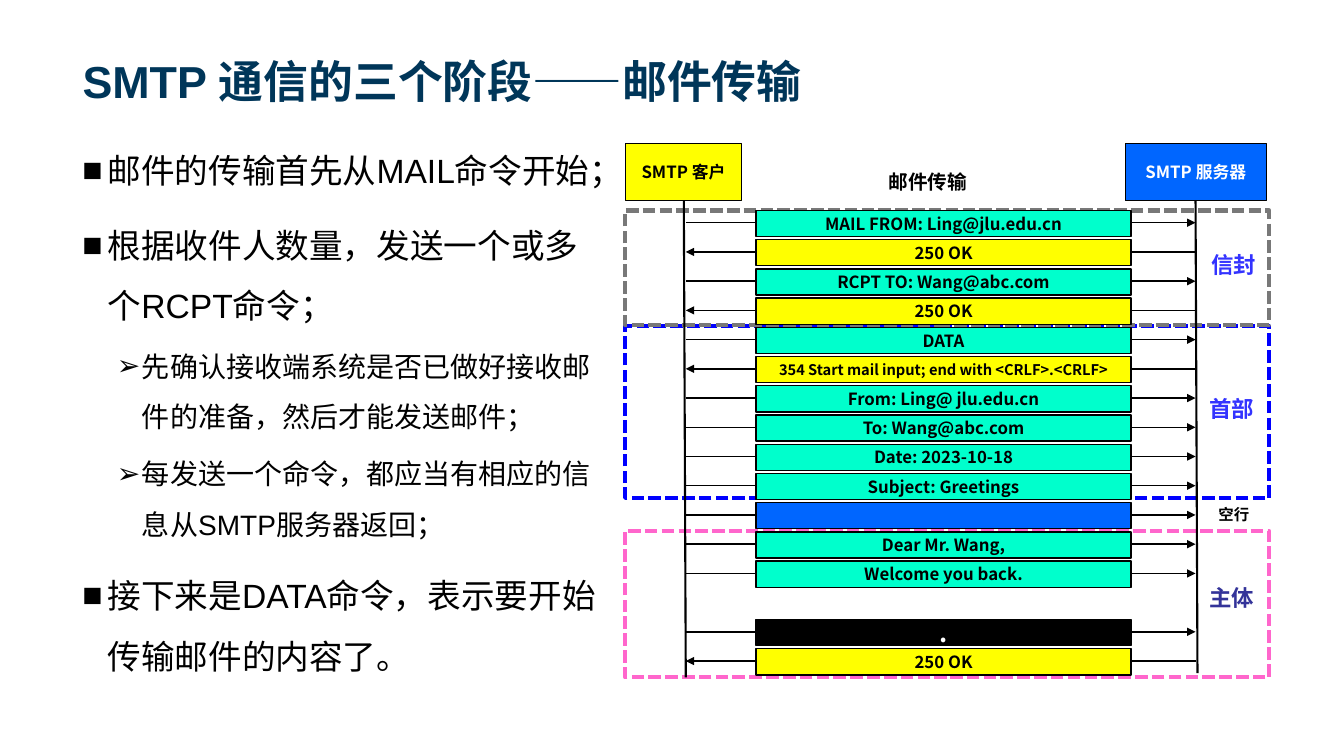
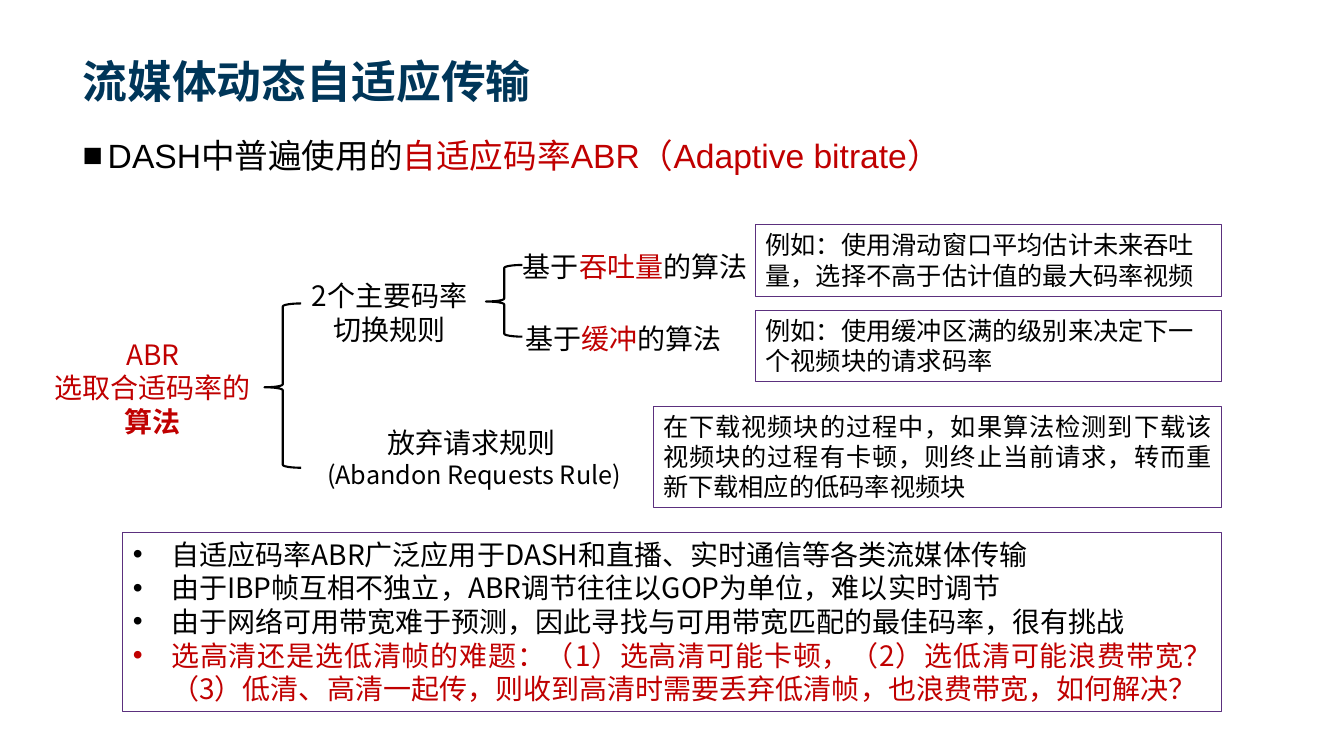
from lxml.etree import SubElement
from pptx import Presentation
from pptx.dml.color import RGBColor
from pptx.enum.dml import MSO_LINE as Dash
from pptx.enum.lang import MSO_LANGUAGE_ID as Lang
from pptx.enum.shapes import MSO_CONNECTOR as Link, MSO_SHAPE as Kind
from pptx.enum.text import MSO_ANCHOR as Anchor, PP_ALIGN as Align
from pptx.oxml.ns import qn
from pptx.util import Inches, Pt

SANS, CJK = "Arial", "Noto Sans CJK SC"
BLACK, WHITE, NAVY, RED = "000000", "FFFFFF", "003659", "C00000"
YELLOW, BLUE, MINT, PURPLE = "FFFF00", "0066FF", "00FFCC", "5B307E"
INDIGO, PLUM = "3333FF", "333399"

# Boxes are left, top, width, height in inches
TITLE = (0.72, 0.14, 11.88, 0.98)
HALF = (0.72, 1.24, 5.44, 5.47)
FULL = (0.72, 1.24, 11.88, 5.47)
FLOW = (6.2, 1.42, 6.4, 5.3)
TREE = (0.44, 2.23, 11.68, 2.81)
SUMMARY = (1.22, 5.28, 10.9, 1.78)


def tint(code):
    return RGBColor.from_string(code)


def part(box, x, y, w=0, h=0):
    """Turn percentages of a box into a box in inches."""
    left, top, width, high = box
    return (left + width * x / 100, top + high * y / 100,
            width * w / 100, high * h / 100)


def say(frame, *runs, size=20, color=BLACK, bold=False, face=CJK,
        align=Align.LEFT, gap=0, lead=None, mark=None, left=0, dent=0):
    """Add one paragraph; a run is a string or (string, colour, bold, size)."""
    para = frame.paragraphs[0]
    first = not para.runs
    if not first:
        para = frame.add_paragraph()
    if mark:
        props = para._p.get_or_add_pPr()
        props.set("marL", str(Inches(left)))
        props.set("indent", str(-Inches(dent)))
        SubElement(props, qn("a:buFont")).set("typeface", SANS)
        SubElement(props, qn("a:buChar")).set("char", mark)
    para.alignment = align
    if lead:
        para.line_spacing = lead
    if gap and not first:
        para.space_before = Pt(gap)
    base = (None, color, bold, size)
    for item in runs:
        item = (item,) if isinstance(item, str) else item
        words, hue, heavy, points = item + base[len(item):]
        for i, line in enumerate(words.split("\n")):
            if i:
                para.add_line_break()
            if not line:
                continue
            run = para.add_run()
            run.text = line
            font = run.font
            font.name, font.size, font.bold = face, Pt(points), heavy
            font.color.rgb = tint(hue)
            font.language_id = Lang.SIMPLIFIED_CHINESE
            SubElement(run._r.rPr, qn("a:ea")).set("typeface", CJK)


def area(slide, box, anchor=Anchor.TOP, wrap=True):
    frame = slide.shapes.add_textbox(*map(Inches, box)).text_frame
    frame.word_wrap, frame.vertical_anchor = wrap, anchor
    return frame


def block(slide, box, fill=None, line=None, width=1, dash=None,
          kind=Kind.RECTANGLE, anchor=Anchor.MIDDLE):
    shape = slide.shapes.add_shape(kind, *map(Inches, box))
    shape.shadow.inherit = False
    if fill:
        shape.fill.solid()
        shape.fill.fore_color.rgb = tint(fill)
    else:
        shape.fill.background()
    if line:
        shape.line.color.rgb = tint(line)
        shape.line.width = Pt(width)
        if dash:
            shape.line.dash_style = dash
    else:
        shape.line.fill.background()
    shape.text_frame.word_wrap = True
    shape.text_frame.vertical_anchor = anchor
    return shape


def wire(slide, start, end, width=1, arrow=False):
    ends = map(Inches, start[:2] + end[:2])
    link = slide.shapes.add_connector(Link.STRAIGHT, *ends)
    link.line.color.rgb = tint(BLACK)
    link.line.width = Pt(width)
    if arrow:
        SubElement(link.line._get_or_add_ln(), qn("a:tailEnd")).set("type", "triangle")
    SubElement(link._element.spPr, qn("a:effectLst"))


def head(slide, words, face=SANS):
    say(area(slide, TITLE, Anchor.BOTTOM), words, size=32, color=NAVY,
        bold=True, face=face)


def bullet(frame, *runs, deep=False, lead=1.5):
    form = (dict(size=20, gap=5, mark="➢", left=0.59) if deep
            else dict(size=24, gap=10, mark="■", left=0.25))
    say(frame, *runs, face=SANS, lead=lead, dent=0.25, **form)


def flow(slide, box):
    """Draw the message exchange between the client and the server."""
    bands = [(72.6, 27.4, "FF66CC"), (34.3, 32.1, "0000FF"), (12.6, 21.5, "787878")]
    for y, h, color in bands:
        block(slide, part(box, 0, y, 99.8, h), line=color, width=3,
              dash=Dash.SQUARE_DOT)
    hosts = [("SMTP 服务器", 77.5, 21.9, BLUE, WHITE, 88.4, 99.2),
             ("SMTP 客户", 0, 18.1, YELLOW, BLACK, 9.1, 100)]
    for name, x, w, fill, color, life, foot in hosts:
        host = block(slide, part(box, x, 0, w, 10.8), fill, BLACK, 0.5)
        say(host.text_frame, name, size=12, color=color, bold=True, align=Align.CENTER)
        wire(slide, part(box, life, 10.8), part(box, life + 0.3, foot), 1.5)

    sent, reply = (MINT, BLACK, 12), (YELLOW, BLACK, 12)
    steps = [("MAIL FROM: Ling@jlu.edu.cn", sent), ("250 OK", reply),
             ("RCPT TO: Wang@abc.com", sent), ("250 OK", reply), ("DATA", sent),
             ("354 Start mail input; end with <CRLF>.<CRLF>", (YELLOW, BLACK, 10.5)),
             ("From: Ling@ jlu.edu.cn", sent), ("To: Wang@abc.com", sent),
             ("Date: 2023-10-18", sent), ("Subject: Greetings", sent),
             ("", (BLUE, BLACK, 12)), ("Dear Mr. Wang,", sent),
             ("Welcome you back.", sent), None,
             (".", (BLACK, WHITE, 18)), ("250 OK", reply)]
    for row, step in enumerate(steps):
        if not step:
            continue
        words, (fill, color, size) = step
        y = 12.6 + 5.47 * row
        ends = [part(box, x, y + 2.3) for x in (9.4, 88.4)]
        if fill == YELLOW:
            ends.reverse()
        wire(slide, *ends, arrow=True)
        bar = block(slide, part(box, 20.3, y, 58.1, 4.9), fill, BLACK)
        say(bar.text_frame, words, size=size, color=color, bold=True,
            align=Align.CENTER)

    labels = [("信封", 88.75, 19.2, 11.2, 16, INDIGO),
              ("首部", 88.75, 46.2, 10.6, 16, INDIGO),
              ("主体", 88.75, 81.7, 10.6, 16, PLUM),
              ("空行", 88.75, 66.8, 11.2, 11, BLACK),
              ("邮件传输", 37.7, 4, 18.4, 14, BLACK)]
    for words, x, y, w, size, color in labels:
        say(area(slide, part(box, x, y, w, 6.4)), words, size=size,
            color=color, bold=True, align=Align.CENTER)


def tree(slide, box):
    """Draw the rules as a tree of braces, with an example beside each leaf."""
    for place in [(18.7, 27.8, 3.1, 58), (37.5, 14.2, 3.1, 25.3)]:
        brace = block(slide, part(box, *place), line=BLACK, width=1.5,
                      kind=Kind.LEFT_BRACE)
        brace.adjustments[0], brace.adjustments[1] = 0.08, 0.51

    nodes = [((21.9, 67.3, 28.7, 29.5), BLACK,
              [["放弃请求规则\n", (" (Abandon Requests Rule)", BLACK, False, 18)]]),
             ((0, 35.9, 18.4, 43.1), RED,
              [["ABR"], ["选取合适码率的", ("算法", RED, True)]]),
             ((21.7, 14.2, 15.2, 33.5), BLACK, [["2个主要码率\n切换规则"]])]
    for place, color, paras in nodes:
        frame = block(slide, part(box, *place)).text_frame
        for runs in paras:
            say(frame, *runs, color=color, align=Align.CENTER)

    for x, y, w, basis in [(39.8, 7.1, 21, "吞吐量"), (40, 32.4, 18.6, "缓冲")]:
        say(area(slide, part(box, x, y, w, 15.7), wrap=False),
            "基于", (basis, RED), "的算法")

    notes = [((51.7, 64.1, 48.3, 35.9), Align.JUSTIFY,
              "在下载视频块的过程中，如果算法检测到下载该视频块的过程有卡顿，"
              "则终止当前请求，转而重新下载相应的低码率视频块"),
             ((60.4, 0, 39.6, 25.3), Align.LEFT,
              "例如：使用滑动窗口平均估计未来吞吐量，选择不高于估计值的最大码率视频"),
             ((60.4, 30.2, 39.6, 25.3), Align.LEFT,
              "例如：使用缓冲区满的级别来决定下一个视频块的请求码率")]
    for place, align, words in notes:
        note = block(slide, part(box, *place), line=PURPLE, width=0.75,
                     anchor=Anchor.TOP)
        say(note.text_frame, words, size=18, align=align)


def summary(slide, box):
    frame = block(slide, box, line=PURPLE, width=0.75, anchor=Anchor.TOP).text_frame
    points = [("自适应码率ABR广泛应用于DASH和直播、实时通信等各类流媒体传输", BLACK),
              ("由于IBP帧互相不独立，ABR调节往往以GOP为单位，难以实时调节", BLACK),
              ("由于网络可用带宽难于预测，因此寻找与可用带宽匹配的最佳码率，很有挑战", BLACK),
              ("选高清还是选低清帧的难题：（1）选高清可能卡顿，（2）选低清可能浪费带宽？"
               "（3）低清、高清一起传，则收到高清时需要丢弃低清帧，也浪费带宽，如何解决？", RED)]
    for words, color in points:
        say(frame, words, color=color, align=Align.JUSTIFY, mark="•",
            left=0.38, dent=0.38)


def mail(slide):
    flow(slide, FLOW)
    body = area(slide, HALF)
    bullet(body, "邮件的传输首先从MAIL命令开始；")
    bullet(body, "根据收件人数量，发送一个或多个RCPT命令；")
    bullet(body, "先确认接收端系统是否已做好接收邮件的准备，然后才能发送邮件；", deep=True)
    bullet(body, "每发送一个命令，都应当有相应的信息从SMTP服务器返回；", deep=True)
    bullet(body, "接下来是DATA命令，表示要开始传输邮件的内容了。")
    head(slide, "SMTP 通信的三个阶段——邮件传输")


def stream(slide):
    bullet(area(slide, FULL), "DASH中普遍使用的",
           ("自适应码率ABR（Adaptive bitrate）", RED), lead=Pt(32))
    head(slide, "流媒体动态自适应传输", face=CJK)
    tree(slide, TREE)
    summary(slide, SUMMARY)


def main():
    deck = Presentation()
    deck.slide_width, deck.slide_height = Inches(13.33), Inches(7.5)
    for build in (mail, stream):
        build(deck.slides.add_slide(deck.slide_layouts[6]))
    deck.save("out.pptx")


if __name__ == "__main__":
    main()
